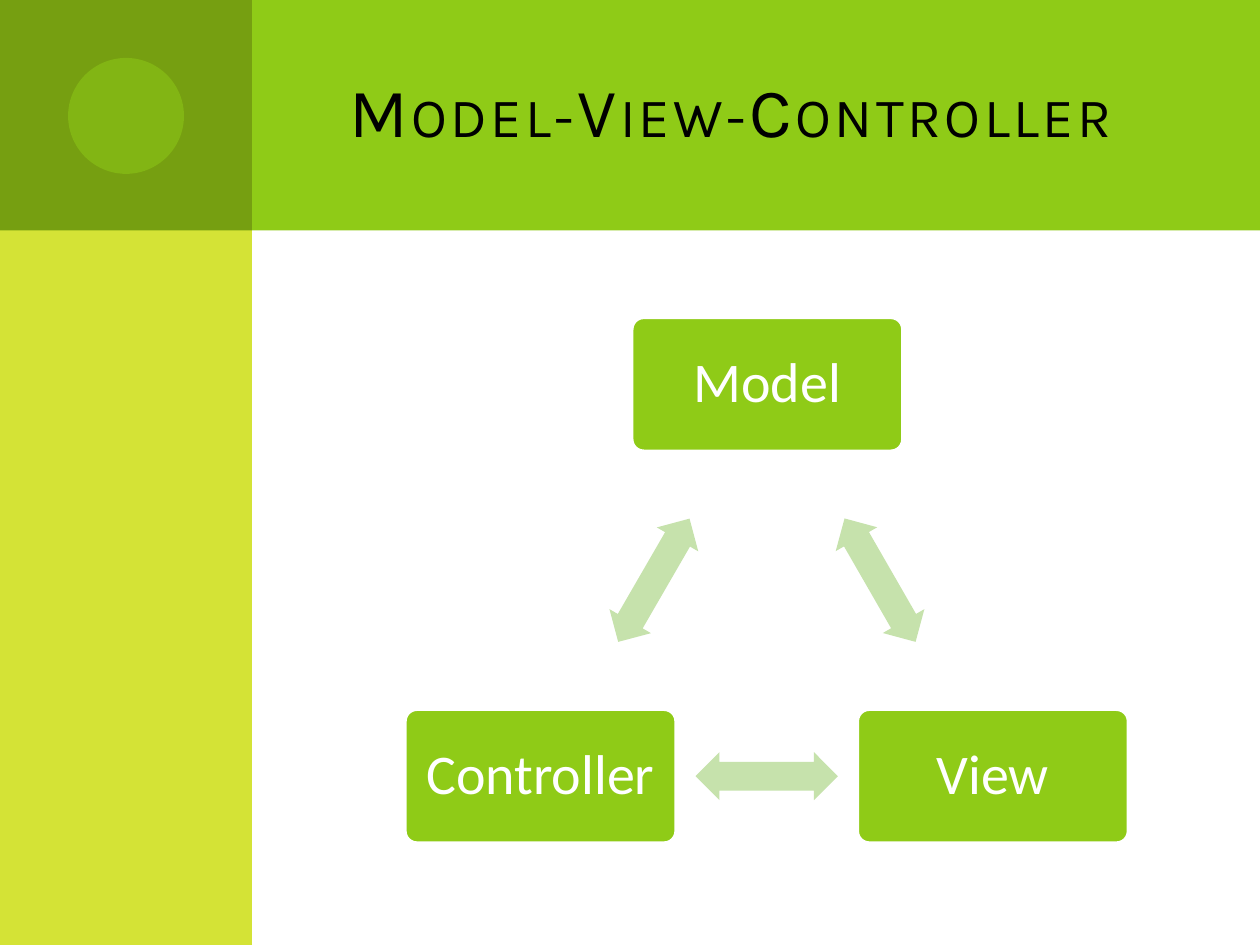
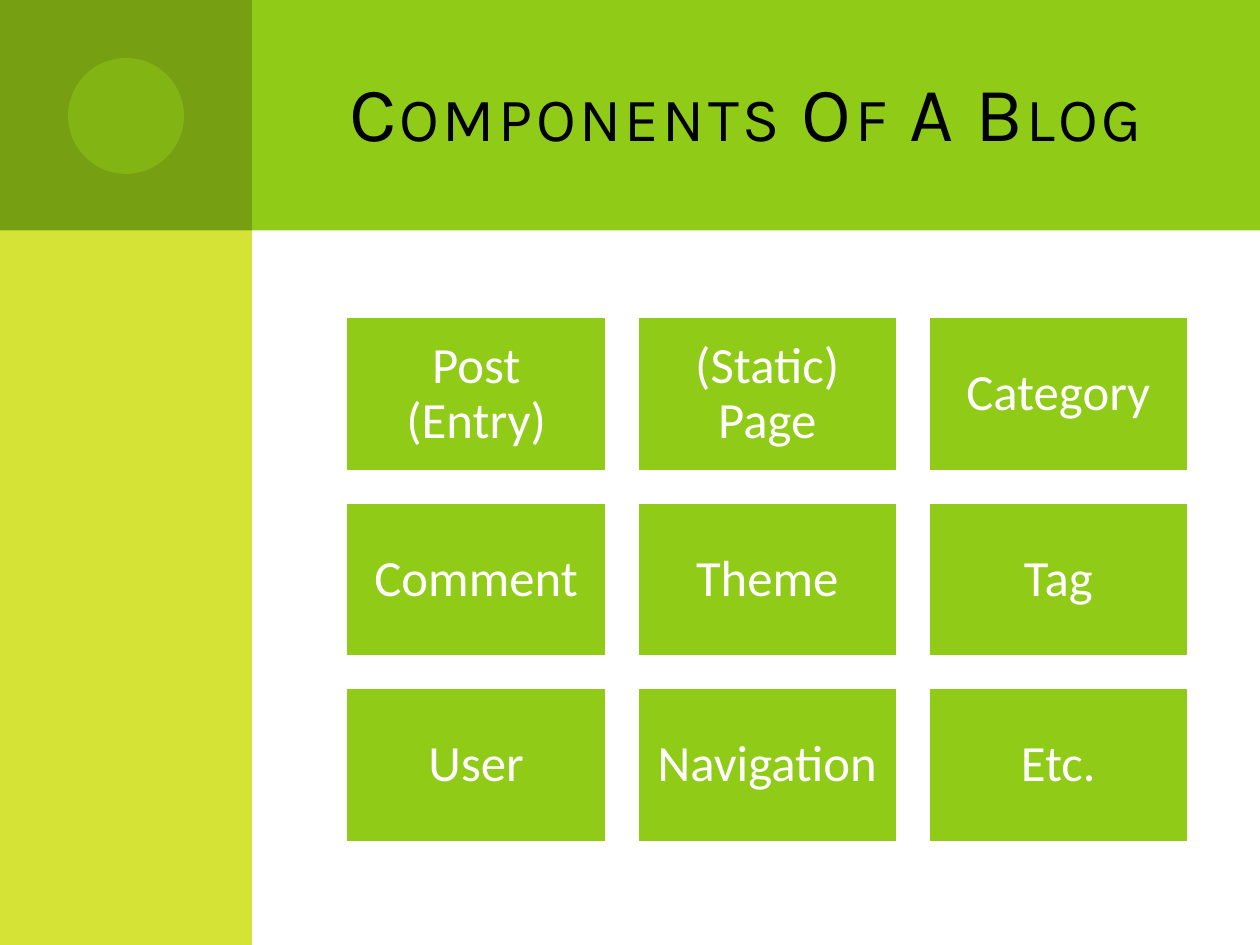
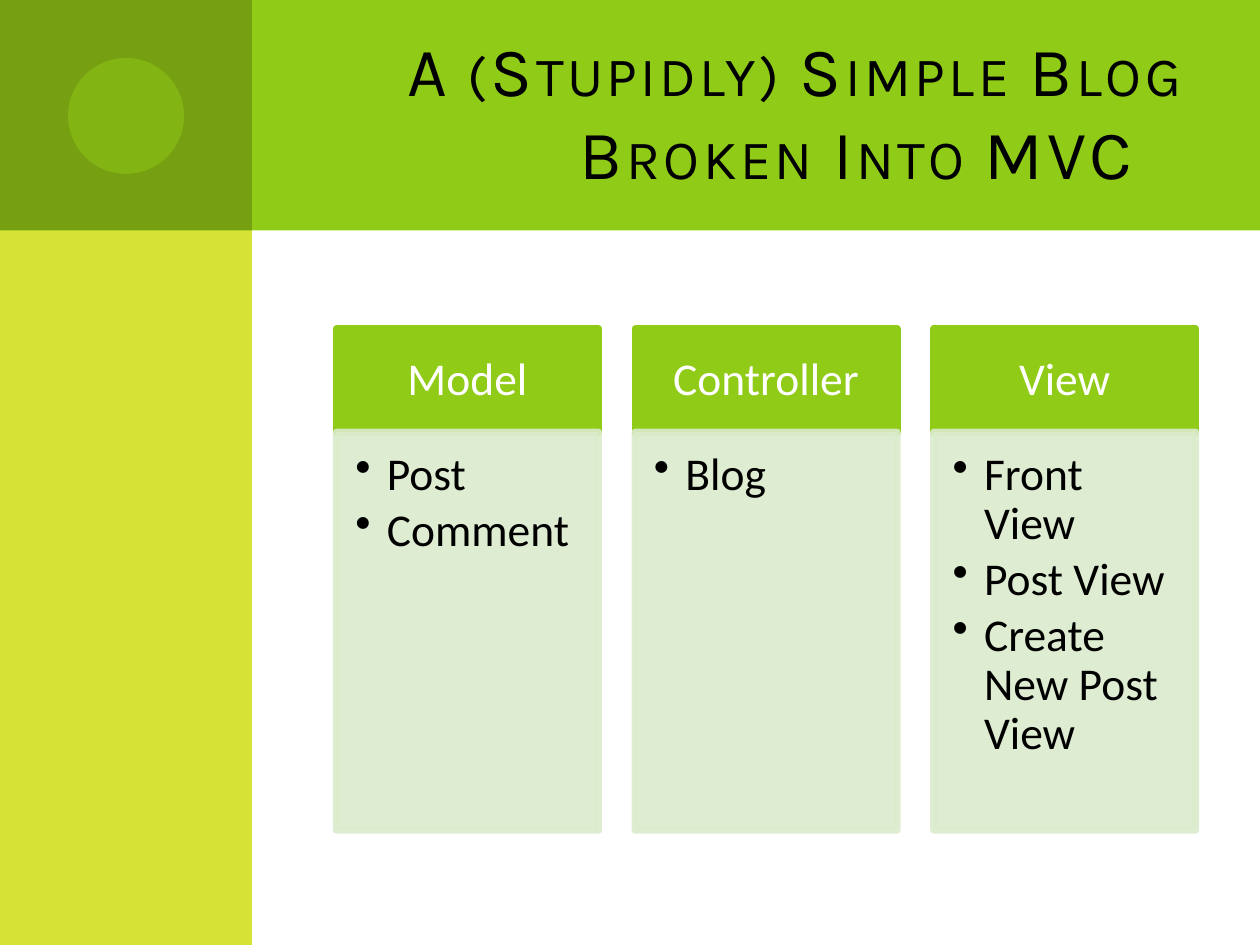
import math

import lxml.etree
import pptx
import pptx.dml.color
import pptx.enum.shapes
import pptx.enum.text
import pptx.oxml.ns
import pptx.util

Inches = pptx.util.Inches
Pt = pptx.util.Pt
KIND = pptx.enum.shapes.MSO_SHAPE
ALIGN = pptx.enum.text.PP_ALIGN
ANCHOR = pptx.enum.text.MSO_ANCHOR
qn = pptx.oxml.ns.qn

HUES = {
    "green": "8FCB17",
    "lime": "D4E336",
    "olive": "769F11",
    "arrow": "C6E2AC",
    "pale": "DBECCC",
    "white": "FFFFFF",
    "black": "000000",
}

BANDS = [
    (KIND.RECTANGLE, (0.5, 0, 9.5, 1.83), "green", 100),
    (KIND.RECTANGLE, (0, 0, 2, 7.5), "lime", 100),
    (KIND.RECTANGLE, (0, 0, 2, 1.83), "olive", 100),
    (KIND.OVAL, (0.54, 0.46, 0.92, 0.92), "green", 50),
]

CYCLE = [("Model", 6.09, 3.05), ("View", 7.88, 6.16), ("Controller", 4.29, 6.16)]

PARTS = [
    ["Post (Entry)", "(Static) Page", "Category"],
    ["Comment", "Theme", "Tag"],
    ["User", "Navigation", "Etc."],
]

LISTS = [
    ("Model", ["Post", "Comment"]),
    ("Controller", ["Blog"]),
    ("View", ["Front View", "Post View", "Create New Post View"]),
]


def tint(hue):
    return pptx.dml.color.RGBColor.from_string(HUES[hue])


def draw(slide, kind, box, fill, edge=None, alpha=100):
    shape = slide.shapes.add_shape(kind, *map(Inches, box))
    shape.shadow.inherit = False
    shape.fill.solid()
    shape.fill.fore_color.rgb = tint(fill)
    if edge:
        shape.line.color.rgb = tint(edge)
        shape.line.width = Pt(4)
    else:
        shape.line.fill.background()
    if alpha < 100:
        for node in shape.element.spPr.iter(qn("a:srgbClr")):
            lxml.etree.SubElement(node, qn("a:alpha"), val=str(alpha * 1000))
    return shape


def write(shape, lines, size, hue, pads, font="Calibri", align=ALIGN.CENTER,
          anchor=ANCHOR.MIDDLE, lead=0.9):
    frame = shape.text_frame
    frame.text = "\n".join(lines)
    frame.word_wrap = True
    frame.auto_size = pptx.enum.text.MSO_AUTO_SIZE.NONE
    frame.vertical_anchor = anchor
    (frame.margin_left, frame.margin_top,
     frame.margin_right, frame.margin_bottom) = map(Inches, pads)
    for para in frame.paragraphs:
        para.alignment = align
        para.line_spacing = lead
        for run in para.runs:
            run.font.name = font
            run.font.size = Pt(size)
            run.font.color.rgb = tint(hue)


def dot(shape, size):
    for para in shape.text_frame.paragraphs:
        para.space_after = Pt(size * 0.15)
    for props in shape.element.iter(qn("a:pPr")):
        props.set("marL", str(Inches(0.25)))
        props.set("indent", str(-Inches(0.25)))
        lxml.etree.SubElement(props, qn("a:buChar"), char="•")


def dress(layout, slide):
    for item in list(layout.placeholders)[1:]:
        item.element.getparent().remove(item.element)
    for spot, (kind, box, fill, alpha) in enumerate(BANDS, 2):
        band = draw(slide, kind, box, fill, alpha=alpha)
        layout.shapes.element.insert(spot, band.element)


def head(slide, text, size):
    title = slide.shapes.title
    title.left, title.top, title.width, title.height = map(
        Inches, (2.67, 0.25, 6.83, 1.25))
    write(title, [text], size, "black", (0.1, 0.05, 0.1, 0.05), "Karla",
          ALIGN.RIGHT, lead=1.0)
    for props in title.element.iter(qn("a:rPr")):
        props.set("cap", "small")
        props.set("spc", "200")


def show_cycle(slide):
    wide, high = 2.18, 1.09
    long, thick = 1.13, 0.38
    for spot, (text, x, y) in enumerate(CYCLE):
        box = draw(slide, KIND.ROUNDED_RECTANGLE,
                   (x - wide / 2, y - high / 2, wide, high), "green", "white")
        box.adjustments[0] = 0.1
        write(box, [text], 32, "white", (0.1,) * 4)
        _, x2, y2 = CYCLE[(spot + 1) % len(CYCLE)]
        arrow = draw(slide, KIND.LEFT_RIGHT_ARROW,
                     ((x + x2 - long) / 2, (y + y2 - thick) / 2, long, thick),
                     "arrow")
        arrow.adjustments[0] = 0.6
        arrow.adjustments[1] = 0.5
        arrow.rotation = math.degrees(math.atan2(y2 - y, x2 - x))


def show_grid(slide):
    wide, high, gap = 2.1, 1.26, 0.21
    for row, names in enumerate(PARTS):
        for col, text in enumerate(names):
            place = (2.73 + col * (wide + gap), 2.5 + row * (high + gap), wide, high)
            box = draw(slide, KIND.RECTANGLE, place, "green", "white")
            write(box, [text], 29, "white", (0.12,) * 4)


def show_lists(slide):
    wide, gap, top, cap, size = 2.08, 0.29, 2.61, 0.82, 26
    for col, (name, items) in enumerate(LISTS):
        left = 2.67 + col * (wide + gap)
        label = draw(slide, KIND.RECTANGLE, (left, top, wide, cap), "green", "green")
        write(label, [name], size, "white", (0.2, 0.12, 0.2, 0.12))
        body = draw(slide, KIND.RECTANGLE, (left, top + cap, wide, 3.16),
                    "pale", "pale", 90)
        write(body, items, size, "black", (0.15, 0.15, 0.2, 0.23),
              align=ALIGN.LEFT, anchor=ANCHOR.TOP)
        dot(body, size)


SLIDES = [
    ("Model-View-Controller", 39.6, show_cycle),
    ("Components Of A Blog", 44, show_grid),
    ("A (Stupidly) Simple Blog Broken Into MVC", 39.6, show_lists),
]


def main():
    deck = pptx.Presentation()
    deck.slide_width = Inches(10)
    deck.slide_height = Inches(7.5)
    layout = deck.slide_layouts[5]
    for spot, (text, size, show) in enumerate(SLIDES):
        slide = deck.slides.add_slide(layout)
        if spot == 0:
            dress(layout, slide)
        head(slide, text, size)
        show(slide)
    deck.save("out.pptx")


if __name__ == "__main__":
    main()
